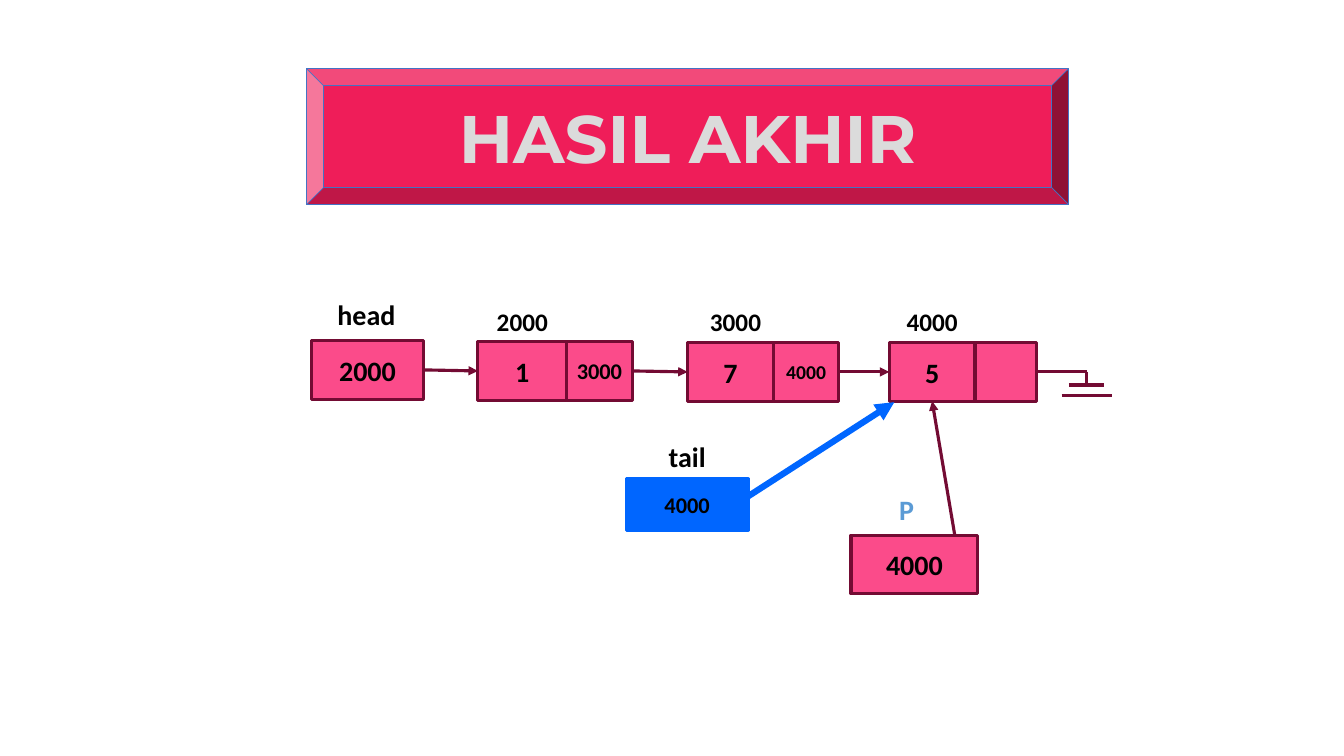
from pptx import Presentation
from pptx.dml.color import RGBColor
from pptx.enum.shapes import MSO_CONNECTOR, MSO_SHAPE
from pptx.enum.text import MSO_ANCHOR, PP_ALIGN
from pptx.oxml.ns import qn
from pptx.util import Inches, Pt
from lxml import etree

RECT = MSO_SHAPE.RECTANGLE
BEVEL = MSO_SHAPE.BEVEL
STRAIGHT = MSO_CONNECTOR.STRAIGHT
MIDDLE = MSO_ANCHOR.MIDDLE
TOP = MSO_ANCHOR.TOP
CENTER = PP_ALIGN.CENTER
LEFT = PP_ALIGN.LEFT
SIDE_LEFT, SIDE_RIGHT, SIDE_BOTTOM = 1, 3, 2

PINK, WINE, BLUE, BLACK = "FB4B8A", "730B33", "0066FF", "000000"


def color(value):
    return RGBColor.from_string(value)


class Board:
    def __init__(self, slide):
        self.slide = slide
        self.font = {"name": "Calibri", "bold": True}

    def words(self, shape, text, size, ink, align=CENTER, **extra):
        para = shape.text_frame.paragraphs[0]
        para.alignment = align
        run = para.add_run()
        run.text = text
        for key, value in {**self.font, "size": Pt(size), **extra}.items():
            setattr(run.font, key, value)
        run.font.color.rgb = color(ink)
        return para

    def box(self, left, top, width, height, text="", size=20, fill=PINK,
            edge=WINE, weight=2.25, kind=RECT, ink=BLACK, **extra):
        shape = self.slide.shapes.add_shape(
            kind, Inches(left), Inches(top), Inches(width), Inches(height))
        shape.shadow.inherit = False
        shape.fill.solid()
        shape.fill.fore_color.rgb = color(fill)
        shape.line.color.rgb = color(edge)
        shape.line.width = Pt(weight)
        frame = {"margin_left": 0, "margin_right": 0, "word_wrap": True,
                 "vertical_anchor": MIDDLE}
        for key, value in frame.items():
            setattr(shape.text_frame, key, value)
        if text:
            self.words(shape, text, size, ink, **extra)
        return shape

    def label(self, left, top, width, height, text, size=20, ink=BLACK,
              align=CENTER, space=1.0):
        shape = self.slide.shapes.add_textbox(
            Inches(left), Inches(top), Inches(width), Inches(height))
        shape.text_frame.word_wrap = True
        shape.text_frame.vertical_anchor = TOP
        self.words(shape, text, size, ink, align).line_spacing = space

    def line(self, start, end, ink=WINE, weight=2.25, arrow=False,
             source=None, target=None):
        link = self.slide.shapes.add_connector(
            STRAIGHT, *(Inches(n) for n in (*start, *end)))
        if source:
            link.begin_connect(*source)
        if target:
            link.end_connect(*target)
        link.line.color.rgb = color(ink)
        link.line.width = Pt(weight)
        props = link._element.spPr
        if arrow:
            etree.SubElement(props.find(qn("a:ln")), qn("a:tailEnd"), type="triangle")
        etree.SubElement(props, qn("a:effectLst"))


def main():
    deck = Presentation()
    deck.slide_width, deck.slide_height = Inches(13.33), Inches(7.5)
    board = Board(deck.slides.add_slide(deck.slide_layouts[6]))

    board.box(3.04, 0.68, 7.56, 1.35, "HASIL AKHIR", 48, "EF1D59", "4472C4",
              0.5, BEVEL, "DBDBDB", name="Montserrat")

    last = board.box(3.09, 3.38, 1.11, 0.58, "2000")
    board.label(3.16, 2.94, 0.95, 0.44, "head", space=0.9)

    nodes = [
        (4.74, 3.39, 0.88, 0.65, "1", "3000", 16, "2000"),
        (6.82, 3.4, 0.85, 0.65, "7", "4000", 14, "3000"),
        (8.82, 3.4, 0.85, 0.61, "5", "", 14, "4000"),
    ]
    for left, top, wide, slim, value, after, size, place in nodes:
        data = board.box(left, top, wide, 0.58, value)
        board.line((left - 0.54, 3.69), (left, 3.69), arrow=True,
                   source=(last, SIDE_RIGHT), target=(data, SIDE_LEFT))
        last = board.box(left + wide, top, slim, 0.58, after, size)
        shift = 0.05 if value == "7" else 0
        board.label(left + shift, 2.99, wide, 0.4, place, 18)

    board.line((10.28, 3.69), (10.78, 3.69), source=(last, SIDE_RIGHT))
    ground = [((10.78, 3.69), (10.78, 3.82)), ((10.6, 3.82), (10.95, 3.82)),
              ((10.53, 3.92), (11.03, 3.92))]
    for start, end in ground:
        board.line(start, end)

    board.box(8.44, 5.31, 1.26, 0.58, "4000")
    board.label(8.82, 4.87, 0.65, 0.44, "P", ink="5B9BD5", align=LEFT, space=0.9)
    board.line((9.47, 5.31), (9.28, 3.98), arrow=True, target=(data, SIDE_BOTTOM))

    board.box(6.21, 4.75, 1.21, 0.51, "4000", 16, BLUE, BLUE)
    board.label(6.34, 4.38, 0.95, 0.38, "tail", space=0.8)
    board.line((7.24, 5.04), (8.87, 3.99), BLUE, 4.5, True)

    deck.save("out.pptx")


if __name__ == "__main__":
    main()
